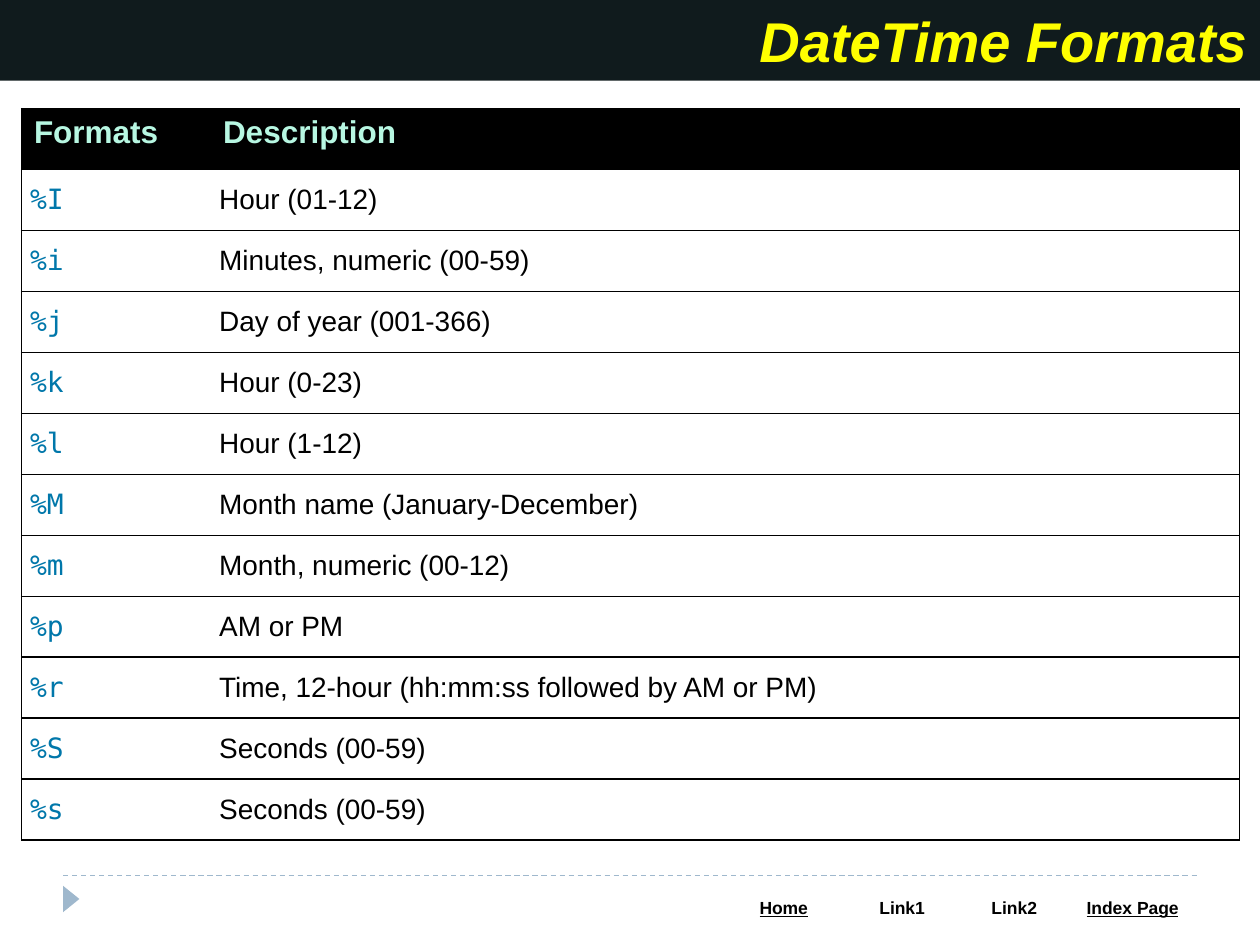
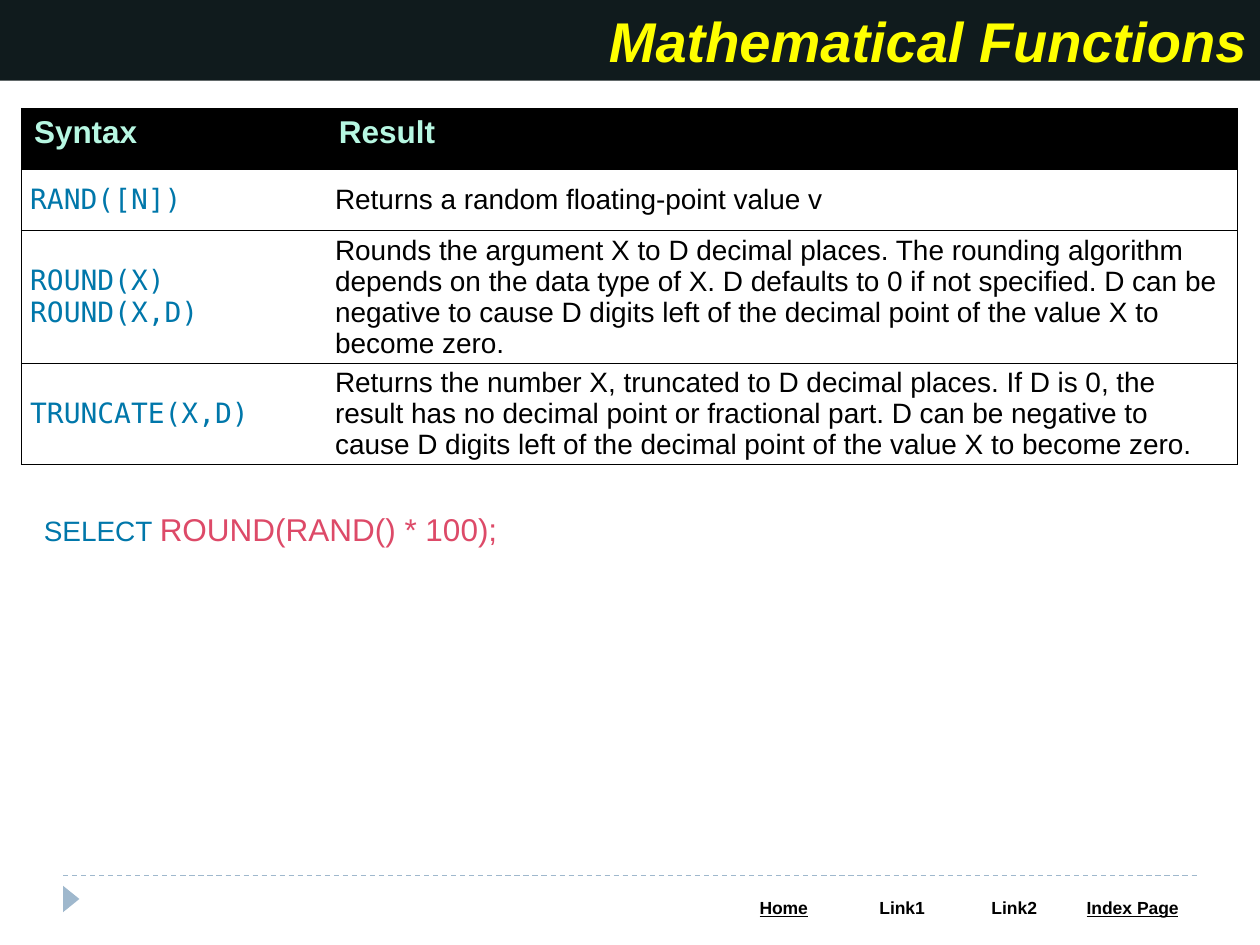
"""Build two reference slides on SQL date formats and mathematical functions."""
from lxml import etree
from pptx import Presentation
from pptx.dml.color import RGBColor
from pptx.enum.dml import MSO_LINE
from pptx.enum.shapes import MSO_CONNECTOR, MSO_SHAPE
from pptx.enum.text import MSO_ANCHOR, PP_ALIGN
from pptx.oxml.ns import qn
from pptx.util import Inches, Pt

RECTANGLE = MSO_SHAPE.RECTANGLE
TRIANGLE = MSO_SHAPE.ISOSCELES_TRIANGLE
STRAIGHT = MSO_CONNECTOR.STRAIGHT
DASH = MSO_LINE.DASH
LEFT, CENTER, RIGHT = PP_ALIGN.LEFT, PP_ALIGN.CENTER, PP_ALIGN.RIGHT
TOP, MIDDLE = MSO_ANCHOR.TOP, MSO_ANCHOR.MIDDLE

COLUMNS, ROWS = 100, 75
SANS, MONO = "Arial", "DejaVu Sans Mono"
BLACK, WHITE = "000000", "FFFFFF"
BAND, TITLE = "101B1D", "FFFF00"
ACCENT, HEADING = "9FB8CD", "B7F7E2"
CODE, CALL = "0077AA", "DD4A68"

FOOTER_LINKS = [("Home", 9.4, True), ("Link1", 9.4, False),
                ("Link2", 8.4, False), ("Index Page", 10.4, True)]

DATE_FORMATS = [
    ("Formats", "Description"),
    ("%I", "Hour (01-12)"),
    ("%i", "Minutes, numeric (00-59)"),
    ("%j", "Day of year (001-366)"),
    ("%k", "Hour (0-23)"),
    ("%l", "Hour (1-12)"),
    ("%M", "Month name (January-December)"),
    ("%m", "Month, numeric (00-12)"),
    ("%p", "AM or PM"),
    ("%r", "Time, 12-hour (hh:mm:ss followed by AM or PM)"),
    ("%S", "Seconds (00-59)"),
    ("%s", "Seconds (00-59)"),
]

MATH_FUNCTIONS = [
    ("Syntax", "Result"),
    ("RAND([N])", "Returns a random floating-point value v"),
    ("ROUND(X)\nROUND(X,D)",
     "Rounds the argument X to D decimal places. The rounding algorithm "
     "depends on the data type of X. D defaults to 0 if not specified. "
     "D can be negative to cause D digits left of the decimal point of "
     "the value X to become zero."),
    ("TRUNCATE(X,D)",
     "Returns the number X, truncated to D decimal places. If D is 0, the "
     "result has no decimal point or fractional part. D can be negative to "
     "cause D digits left of the decimal point of the value X to become zero."),
]


def color(value):
    return RGBColor.from_string(value)


def write(frame, text, size=16, fill=BLACK, font=SANS, bold=False,
          italic=False, underline=False, align=LEFT):
    for index, line in enumerate(text.split("\n")):
        paragraph = frame.add_paragraph() if index else frame.paragraphs[-1]
        paragraph.alignment = align
        run = paragraph.add_run()
        run.text = line
        run.font.name = font
        run.font.size = Pt(size)
        run.font.bold = bold
        run.font.italic = italic
        run.font.underline = underline
        run.font.color.rgb = color(fill)


def set_borders(cell, sides):
    properties = cell._tc.get_or_add_tcPr()
    for side in "LRTB":
        line = etree.SubElement(properties, qn(f"a:ln{side}"), w=str(Pt(0.75)))
        if side in sides:
            solid = etree.SubElement(line, qn("a:solidFill"))
            etree.SubElement(solid, qn("a:srgbClr"), val=BLACK)
        else:
            etree.SubElement(line, qn("a:noFill"))


class Deck:
    def __init__(self):
        self.presentation = Presentation()
        self.presentation.slide_width = Inches(10)
        self.presentation.slide_height = Inches(7.5)
        self.slide = None

    def across(self, columns):
        return round(self.presentation.slide_width * columns / COLUMNS)

    def down(self, rows):
        return round(self.presentation.slide_height * rows / ROWS)

    def box(self, left, top, width, height):
        return (self.across(left), self.down(top),
                self.across(width), self.down(height))

    def start_slide(self, title):
        layout = self.presentation.slide_layouts[6]
        self.slide = self.presentation.slides.add_slide(layout)
        self.footer()
        band = self.shape(RECTANGLE, 0, 0, 100, 6.4, BAND)
        band.text_frame.vertical_anchor = MIDDLE
        write(band.text_frame, title, size=32, fill=TITLE, bold=True,
              italic=True, align=RIGHT)

    def shape(self, kind, left, top, width, height, fill):
        shape = self.slide.shapes.add_shape(
            kind, *self.box(left, top, width, height))
        shape.shadow.inherit = False
        shape.fill.solid()
        shape.fill.fore_color.rgb = color(fill)
        shape.line.fill.background()
        return shape

    def dashed_line(self, left, right, top):
        line = self.slide.shapes.add_connector(
            STRAIGHT, self.across(left), self.down(top),
            self.across(right), self.down(top))
        line.line.color.rgb = color(ACCENT)
        line.line.width = Pt(0.75)
        line.line.dash_style = DASH
        etree.SubElement(line._element.spPr, qn("a:effectLst"))

    def table(self, left, top, widths, heights):
        frame = self.slide.shapes.add_table(
            len(heights), len(widths),
            *self.box(left, top, sum(widths), sum(heights)))
        table = frame.table
        table.first_row = table.horz_banding = False
        for column, width in zip(table.columns, widths):
            column.width = self.across(width)
        for row, height in zip(table.rows, heights):
            row.height = self.down(height)
        return table

    def fill_cell(self, cell, fill):
        cell.fill.solid()
        cell.fill.fore_color.rgb = color(fill)

    def footer(self):
        self.shape(TRIANGLE, 4.6, 70.7, 2.1, 1.3, ACCENT).rotation = 90
        self.dashed_line(5, 95, 69.5)
        widths = [width for _, width, _ in FOOTER_LINKS]
        links = self.table(57.5, 70.8, widths, [2.7])
        for cell, (label, _, underline) in zip(links.iter_cells(), FOOTER_LINKS):
            self.fill_cell(cell, WHITE)
            write(cell.text_frame, label, size=10, bold=True,
                  underline=underline, align=CENTER)

    def reference_table(self, entries, widths, heights):
        table = self.table(1.7, 8.6, widths, heights)
        for row, entry in enumerate(entries):
            for column, text in enumerate(entry):
                cell = table.cell(row, column)
                set_borders(cell, "RTB" if column else "LTB")
                if row == 0:
                    self.fill_cell(cell, BLACK)
                    cell.vertical_anchor = TOP
                    write(cell.text_frame, text, size=18, fill=HEADING, bold=True)
                    continue
                self.fill_cell(cell, WHITE)
                cell.vertical_anchor = MIDDLE
                cell.margin_left = cell.margin_right = self.across(0.7)
                cell.margin_top = cell.margin_bottom = 0
                write(cell.text_frame, text, fill=BLACK if column else CODE,
                      font=SANS if column else MONO)

    def text_box(self, left, top, width, height):
        frame = self.slide.shapes.add_textbox(
            *self.box(left, top, width, height)).text_frame
        frame.word_wrap = True
        return frame


def main():
    deck = Deck()

    deck.start_slide("DateTime Formats")
    deck.reference_table(DATE_FORMATS, [15, 81.7], [4.84] * len(DATE_FORMATS))

    deck.start_slide("Mathematical Functions")
    deck.reference_table(MATH_FUNCTIONS, [24.2, 72.3], [4.84, 4.84, 10.6, 8])
    query = deck.text_box(2.5, 40, 95, 4)
    write(query, "SELECT ", fill=CODE)
    write(query, "ROUND(RAND() * 100);", size=18, fill=CALL)

    deck.presentation.save("out.pptx")


if __name__ == "__main__":
    main()
